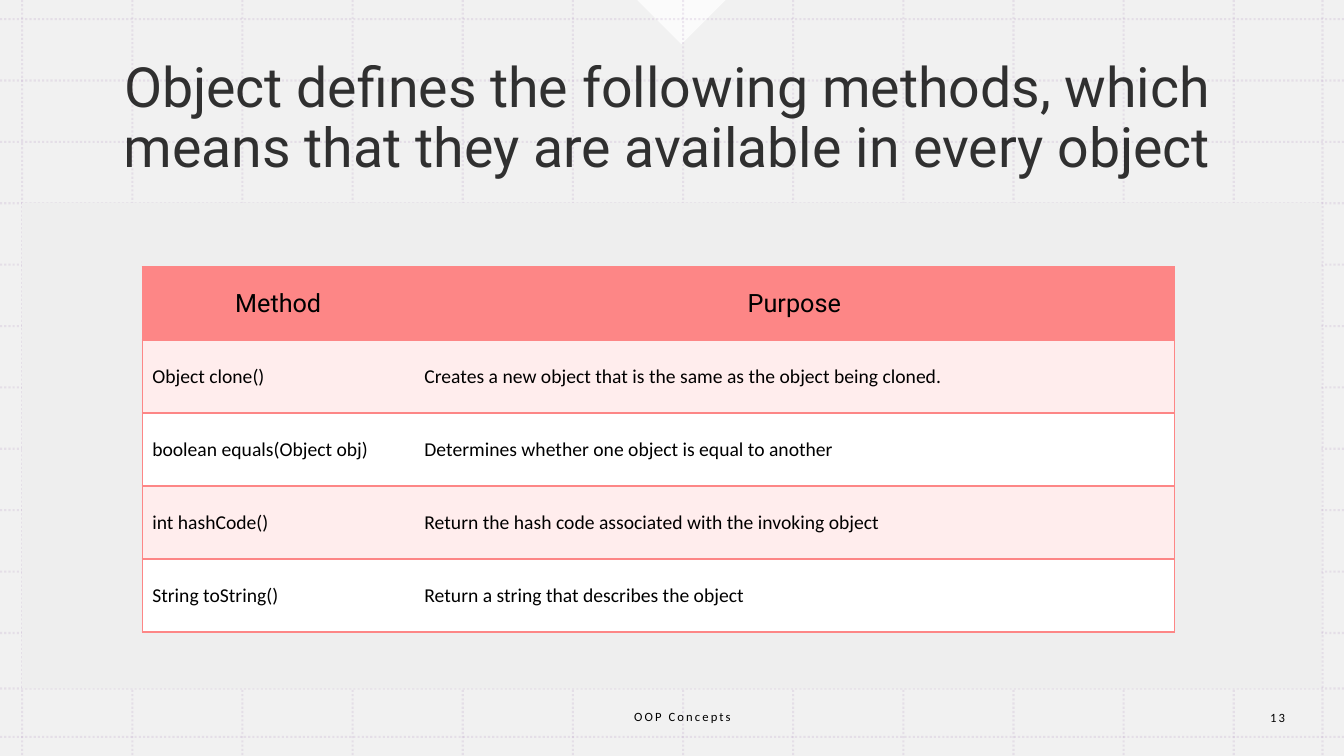
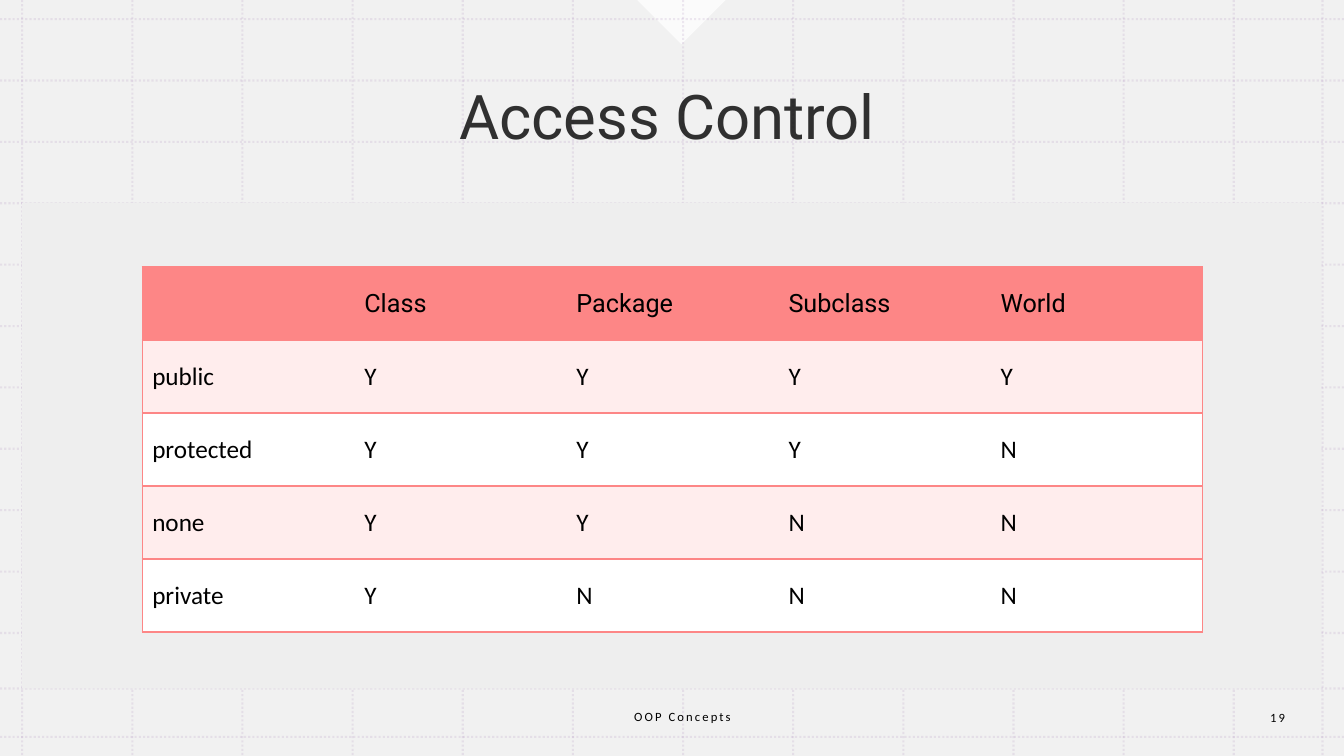
"""Build two slides on Java objects and access control over a dotted grid."""
import dataclasses
import typing

import pptx
import pptx.dml.color
import pptx.enum.dml
import pptx.enum.shapes
import pptx.enum.text
import pptx.oxml
import pptx.oxml.ns
import pptx.util

SLIDE_WIDTH = pptx.util.Inches(13.333)
SLIDE_HEIGHT = pptx.util.Inches(7.5)
HEADING_FONT, BODY_FONT = "Roboto", "Calibri"
INK, PAPER, MIST, DOTS = "000000", "FFFFFF", "EEEEEE", "B495C2"
CORAL, BLUSH = "FD8686", "FFEDED"
CENTER = pptx.enum.text.PP_ALIGN.CENTER
LEFT = pptx.enum.text.PP_ALIGN.LEFT
MIDDLE = pptx.enum.text.MSO_ANCHOR.MIDDLE
PRESETS = pptx.enum.shapes.MSO_SHAPE


class Area(typing.NamedTuple):
    """A rectangle in percent of the slide's width and height."""
    left: float
    top: float
    width: float
    height: float


class TextStyle(typing.NamedTuple):
    """The look of a run and its paragraph."""
    size: float
    font: str
    align: typing.Any = LEFT
    opacity: int = 100
    tracking: float = 0
    line_spacing: float = 1.0


@dataclasses.dataclass
class Page:
    """The content of one slide."""
    title: str
    title_size: float
    number: str
    table_width: float
    column_weights: list[float]
    header_align: typing.Any
    body_size: float
    rows: list[list[str]]


BACKDROP = Area(0, 0, 100, 100)
NOTCH = Area(48.38, -4.13, 4.65, 8.27)
PANEL = Area(1.65, 26.8, 96.68, 64.27)
TITLE = Area(2.48, 4.93, 94.35, 21.87)
FOOTER = Area(34.43, 92.13, 32.7, 5.33)
NUMBER = Area(91.8, 92.27, 6.53, 5.33)
TABLE_LEFT, TABLE_TOP, TABLE_HEIGHT = 10.58, 35.33, 48.27
GRID_COLUMNS = [1.65 + i * (91.8 - 1.65) / 11 for i in range(12)] + [98.4]
GRID_ROWS = [2.53 + i * (83.73 - 2.53) / 10 for i in range(11)] + [91.07, 97.47]
FOOTER_STYLE = TextStyle(9, BODY_FONT, CENTER, tracking=1.5)

PAGES = [
    Page(
        "Object defines the following methods, which means that they are available in every object",
        39.6, "13", 76.8, [2.7, 7.54], CENTER, 14,
        [
            ["Method", "Purpose"],
            ["Object clone()", "Creates a new object that is the same as the object being cloned."],
            ["boolean equals(Object obj)", "Determines whether one object is equal to another"],
            ["int hashCode()", "Return the hash code associated with the invoking object"],
            ["String toString()", "Return a string that describes the object"],
        ],
    ),
    Page(
        "Access Control", 44, "19", 78.9, [1] * 5, LEFT, 18,
        [
            ["", "Class", "Package", "Subclass", "World"],
            ["public", "Y", "Y", "Y", "Y"],
            ["protected", "Y", "Y", "Y", "N"],
            ["none", "Y", "Y", "N", "N"],
            ["private", "Y", "N", "N", "N"],
        ],
    ),
]


def color(value: str) -> pptx.dml.color.RGBColor:
    """Turn a hex string into a colour."""
    return pptx.dml.color.RGBColor.from_string(value)


def across(share: float) -> int:
    """Turn a percentage of the slide's width into a length."""
    return round(SLIDE_WIDTH * share / 100)


def down(share: float) -> int:
    """Turn a percentage of the slide's height into a length."""
    return round(SLIDE_HEIGHT * share / 100)


def place(area: Area) -> tuple[int, int, int, int]:
    """Turn an area into left, top, width and height."""
    return across(area.left), down(area.top), across(area.width), down(area.height)


def set_opacity(element, percent: int) -> None:
    """Make every plain colour inside an element partly transparent."""
    if percent < 100:
        for tint in element.iter(pptx.oxml.ns.qn("a:srgbClr")):
            alpha = tint.makeelement(pptx.oxml.ns.qn("a:alpha"), {"val": str(percent * 1000)})
            tint.append(alpha)


def add_block(slide, preset, area: Area, fill: str, opacity: int = 100, rotation: float = 0) -> None:
    """Draw a borderless filled shape."""
    block = slide.shapes.add_shape(preset, *place(area))
    block.shadow.inherit = False
    block.fill.solid()
    block.fill.fore_color.rgb = color(fill)
    block.line.fill.background()
    block.rotation = rotation
    set_opacity(block._element, opacity)


def add_dotted_line(slide, start: tuple[float, float], end: tuple[float, float]) -> None:
    """Draw one faint line of the background grid."""
    dotted = slide.shapes.add_connector(
        pptx.enum.shapes.MSO_CONNECTOR.STRAIGHT,
        across(start[0]), down(start[1]), across(end[0]), down(end[1]),
    )
    dotted.line.color.rgb = color(DOTS)
    dotted.line.width = pptx.util.Pt(1.5)
    dotted.line.dash_style = pptx.enum.dml.MSO_LINE.ROUND_DOT
    set_opacity(dotted._element, 20)
    properties = dotted._element.spPr
    properties.append(properties.makeelement(pptx.oxml.ns.qn("a:effectLst"), {}))


def write(frame, text: str, style: TextStyle) -> None:
    """Put one styled run into a text frame's first paragraph."""
    paragraph = frame.paragraphs[0]
    paragraph.alignment = style.align
    paragraph.line_spacing = style.line_spacing
    run = paragraph.add_run()
    run.text = text
    run.font.size = pptx.util.Pt(style.size)
    run.font.name = style.font
    run.font.color.rgb = color(INK)
    if style.tracking:
        run._r.get_or_add_rPr().set("spc", str(round(style.tracking * 100)))
    set_opacity(run._r, style.opacity)


def add_label(slide, area: Area, text: str, style: TextStyle) -> None:
    """Add a wrapped, vertically centred text box."""
    frame = slide.shapes.add_textbox(*place(area)).text_frame
    frame.word_wrap = True
    frame.vertical_anchor = MIDDLE
    write(frame, text, style)


def set_borders(cell, visible: str) -> None:
    """Rule the given sides of a cell and clear the others."""
    properties = cell._tc.get_or_add_tcPr()
    namespace = pptx.oxml.ns.nsdecls("a")
    for side in "LRTB":
        paint = (
            f'<a:solidFill><a:srgbClr val="{CORAL}"/></a:solidFill>'
            if side in visible else "<a:noFill/>"
        )
        properties.append(pptx.oxml.parse_xml(f'<a:ln{side} {namespace} w="12700">{paint}</a:ln{side}>'))


def add_grid_table(slide, page: Page) -> None:
    """Add the page's table with a coral header and alternating rows."""
    column_count = len(page.column_weights)
    area = Area(TABLE_LEFT, TABLE_TOP, page.table_width, TABLE_HEIGHT)
    table = slide.shapes.add_table(len(page.rows), column_count, *place(area)).table
    table.first_row = False
    table.horz_banding = False
    for column, weight in zip(table.columns, page.column_weights):
        column.width = across(page.table_width * weight / sum(page.column_weights))
    header_style = TextStyle(18, HEADING_FONT, page.header_align)
    body_style = TextStyle(page.body_size, BODY_FONT)
    for r, texts in enumerate(page.rows):
        fill = CORAL if r == 0 else BLUSH if r % 2 else PAPER
        for c, text in enumerate(texts):
            cell = table.cell(r, c)
            cell.vertical_anchor = MIDDLE
            set_borders(cell, "TB" + "L" * (c == 0) + "R" * (c == column_count - 1))
            cell.fill.solid()
            cell.fill.fore_color.rgb = color(fill)
            if text:
                write(cell.text_frame, text, body_style if r else header_style)


def add_background(slide) -> None:
    """Draw the tinted backdrop, notch, dotted grid and content panel."""
    add_block(slide, PRESETS.RECTANGLE, BACKDROP, MIST, opacity=80)
    add_block(slide, PRESETS.RIGHT_TRIANGLE, NOTCH, PAPER, opacity=75, rotation=315)
    for x in GRID_COLUMNS:
        add_dotted_line(slide, (x, 0), (x, 100))
    for y in GRID_ROWS:
        add_dotted_line(slide, (0, y), (100, y))
    add_block(slide, PRESETS.RECTANGLE, PANEL, MIST)


def add_page(deck, page: Page) -> None:
    """Build one complete slide."""
    slide = deck.slides.add_slide(deck.slide_layouts[6])
    add_background(slide)
    title_style = TextStyle(page.title_size, HEADING_FONT, CENTER, opacity=80, line_spacing=0.9)
    add_label(slide, TITLE, page.title, title_style)
    add_grid_table(slide, page)
    add_label(slide, FOOTER, "OOP Concepts", FOOTER_STYLE)
    add_label(slide, NUMBER, page.number, FOOTER_STYLE)


def main() -> None:
    """Create and save the presentation."""
    deck = pptx.Presentation()
    deck.slide_width, deck.slide_height = SLIDE_WIDTH, SLIDE_HEIGHT
    for page in PAGES:
        add_page(deck, page)
    deck.save("out.pptx")


if __name__ == "__main__":
    main()
